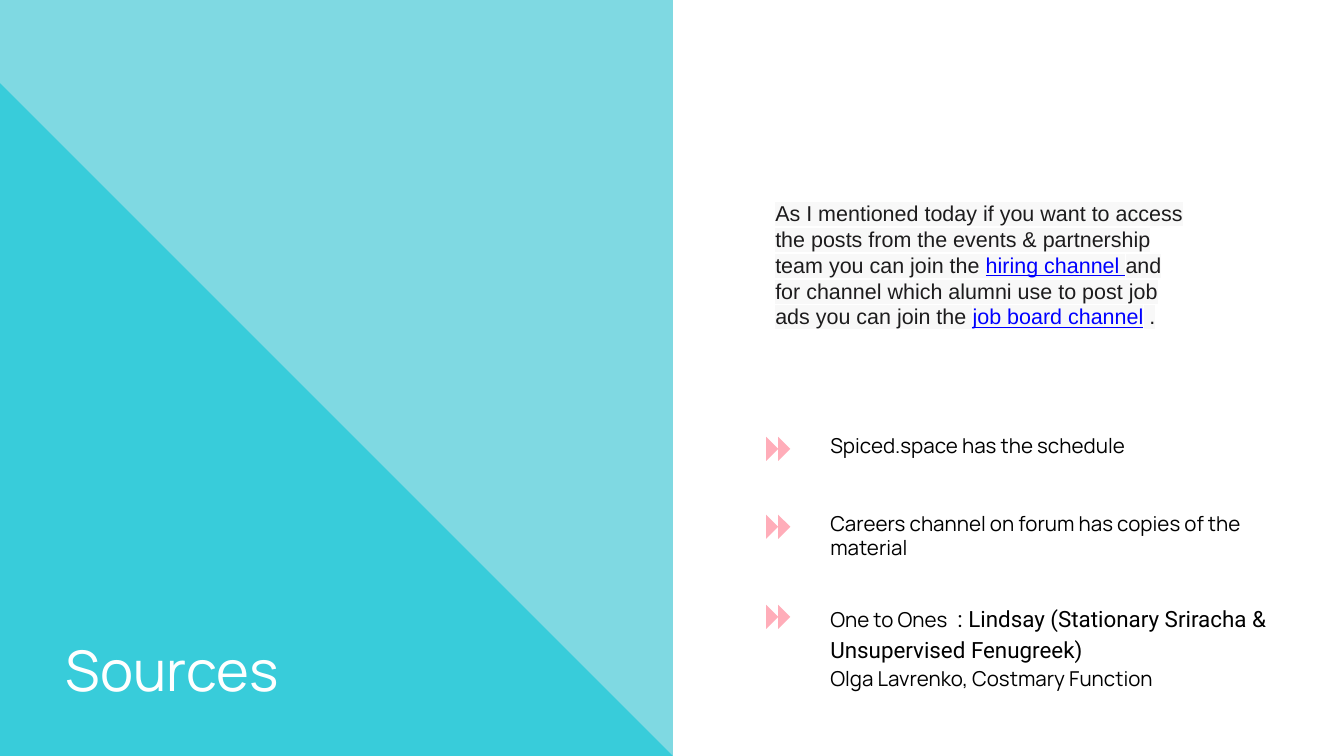
import pptx
import pptx.dml.color
import pptx.enum.shapes
import pptx.enum.text
import pptx.oxml
import pptx.oxml.ns
import pptx.util
from pptx.util import Inches

WIDTH = 10
HEIGHT = WIDTH * 9 / 16
COLORS = {
    "panel": "7FD9E2",
    "triangle": "38CCDA",
    "marker": "FFADB9",
    "title": "FFFFFF",
    "body": "000000",
    "note": "1D1C1D",
    "link": "0000FF",
    "highlight": "F8F8F8",
}
ANCHOR = pptx.enum.text.MSO_ANCHOR


def color(name):
    return pptx.dml.color.RGBColor.from_string(COLORS[name])


class SlideBuilder:
    def __init__(self, page):
        self.page = page

    def paint(self, shape, name, outlined):
        shape.shadow.inherit = False
        shape.fill.solid()
        shape.fill.fore_color.rgb = color(name)
        if outlined:
            shape.line.color.rgb = color(name)
            shape.line.width = pptx.util.Pt(0.75)
        else:
            shape.line.fill.background()

    def rectangle(self, left, top, width, height, name):
        shape = self.page.shapes.add_shape(
            pptx.enum.shapes.MSO_SHAPE.RECTANGLE,
            Inches(left), Inches(top), Inches(width), Inches(height))
        self.paint(shape, name, True)

    def polygon(self, points, name, outlined=False):
        corners = [(Inches(x), Inches(y)) for x, y in points]
        builder = self.page.shapes.build_freeform(*corners[0])
        builder.add_line_segments(corners[1:], close=True)
        self.paint(builder.convert_to_shape(), name, outlined)

    def double_arrow(self, left, middle):
        for x in (left, left + 0.09):
            self.polygon([(x + 0.09, middle), (x, middle - 0.09),
                          (x, middle + 0.09)], "marker")

    def frame(self, box, anchor):
        frame = box.text_frame
        frame.word_wrap = True
        frame.auto_size = pptx.enum.text.MSO_AUTO_SIZE.NONE
        frame.vertical_anchor = anchor
        frame.margin_left = frame.margin_right = Inches(0.1)
        frame.margin_top = frame.margin_bottom = Inches(0.1)
        return frame

    def span(self, para, text, font, size, name, highlight=None, underline=None):
        span = para.add_run()
        span.text = text
        span.font.name = font
        span.font.size = pptx.util.Pt(size)
        span.font.color.rgb = color(name)
        span.font.underline = underline
        if highlight:
            mark = pptx.oxml.parse_xml(
                f'<a:highlight {pptx.oxml.ns.nsdecls("a")}>'
                f'<a:srgbClr val="{COLORS[highlight]}"/></a:highlight>')
            properties = span._r.get_or_add_rPr()
            properties.find(pptx.oxml.ns.qn("a:solidFill")).addnext(mark)

    def title(self, left, top, width, height, text):
        box = self.page.shapes.title
        box.left, box.top = Inches(left), Inches(top)
        box.width, box.height = Inches(width), Inches(height)
        para = self.frame(box, ANCHOR.BOTTOM).paragraphs[0]
        para.alignment = pptx.enum.text.PP_ALIGN.LEFT
        self.span(para, text, "Manrope", 30, "title")
        box.element.getparent().append(box.element)  # in front of the panel

    def text(self, left, top, width, height, paragraphs,
             anchor=ANCHOR.TOP, spacing=None):
        """Each paragraph is a list of argument tuples for span()."""
        box = self.page.shapes.add_textbox(
            Inches(left), Inches(top), Inches(width), Inches(height))
        frame = self.frame(box, anchor)
        for index, spans in enumerate(paragraphs):
            para = frame.add_paragraph() if index else frame.paragraphs[0]
            para.line_spacing = spacing
            for values in spans:
                self.span(para, *values)


def main():
    deck = pptx.Presentation()
    deck.slide_width, deck.slide_height = Inches(WIDTH), Inches(HEIGHT)
    builder = SlideBuilder(deck.slides.add_slide(deck.slide_layouts[5]))

    middle = WIDTH / 2
    builder.rectangle(0, 0, middle, HEIGHT, "panel")
    builder.polygon([(0, HEIGHT), (middle, HEIGHT), (0, HEIGHT - middle)],
                    "triangle", True)
    builder.title(0.39, 3.4, 3.41, 1.93, "Sources")

    body = ("Manrope", 11, "body")
    sources = [
        (3.12, 0.64, None, [[("Spiced.space has the schedule", *body)]]),
        (3.7, 0.79, None,
         [[("Careers channel on forum has copies of the material", *body)]]),
        (4.37, 0.97, 1.15, [
            [("One to Ones ", *body),
             (" : Lindsay (Stationary Sriracha & Unsupervised Fenugreek)",
              "Roboto", 12, "body")],
            [("Olga Lavrenko, Costmary Function", *body)],
        ]),
    ]
    for top, height, spacing, paragraphs in sources:
        builder.double_arrow(5.7, top + 0.22)
        builder.text(6.08, top, 3.8, height, paragraphs, spacing=spacing)

    note = ("Arial", 11.5, "note", "highlight")
    link = ("Arial", 11.5, "link", "highlight", True)
    builder.text(5.67, 0.33, 3.28, 3.28, [[
        ("As I mentioned today if you want to access the posts from the "
         "events & partnership team you can join the ", *note),
        ("hiring channel ", *link),
        ("and for channel which alumni use to post job ads you can join the ",
         *note),
        ("job board channel", *link),
        (" .", *note),
    ]], anchor=ANCHOR.MIDDLE)

    deck.save("out.pptx")


if __name__ == "__main__":
    main()
